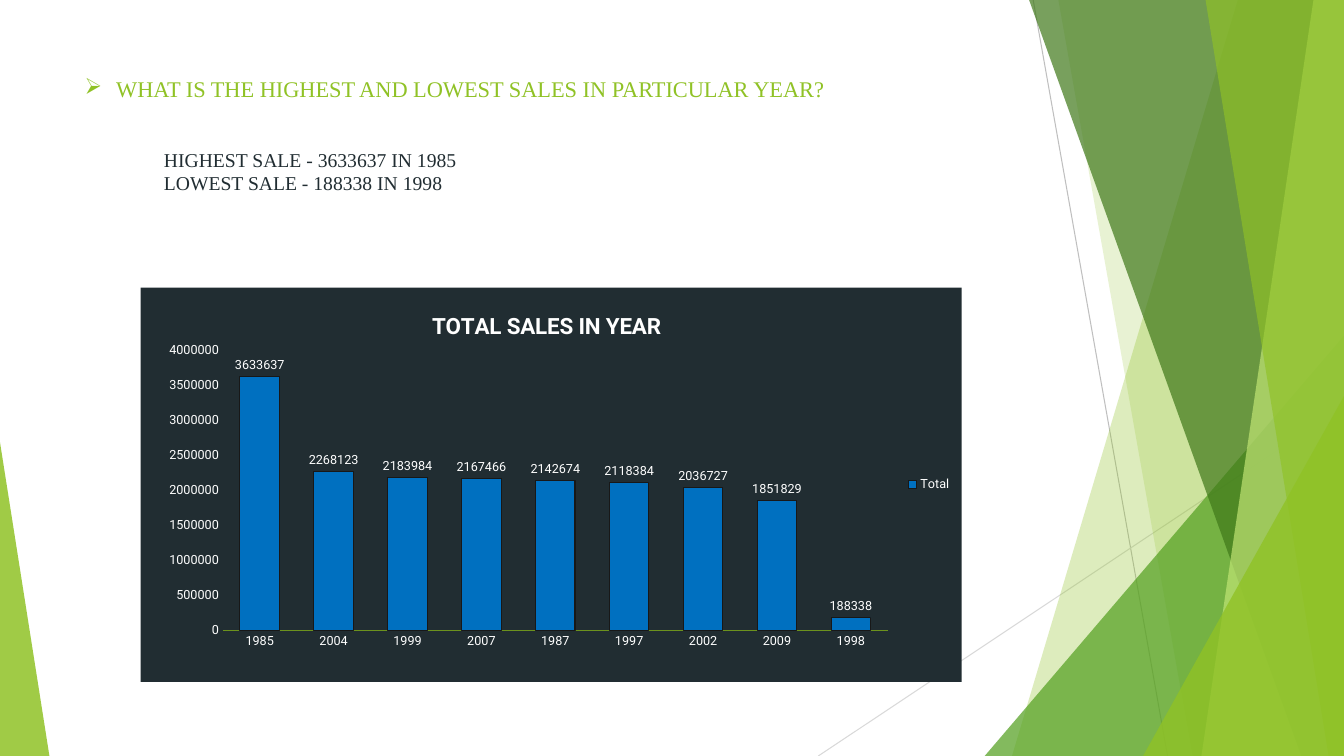
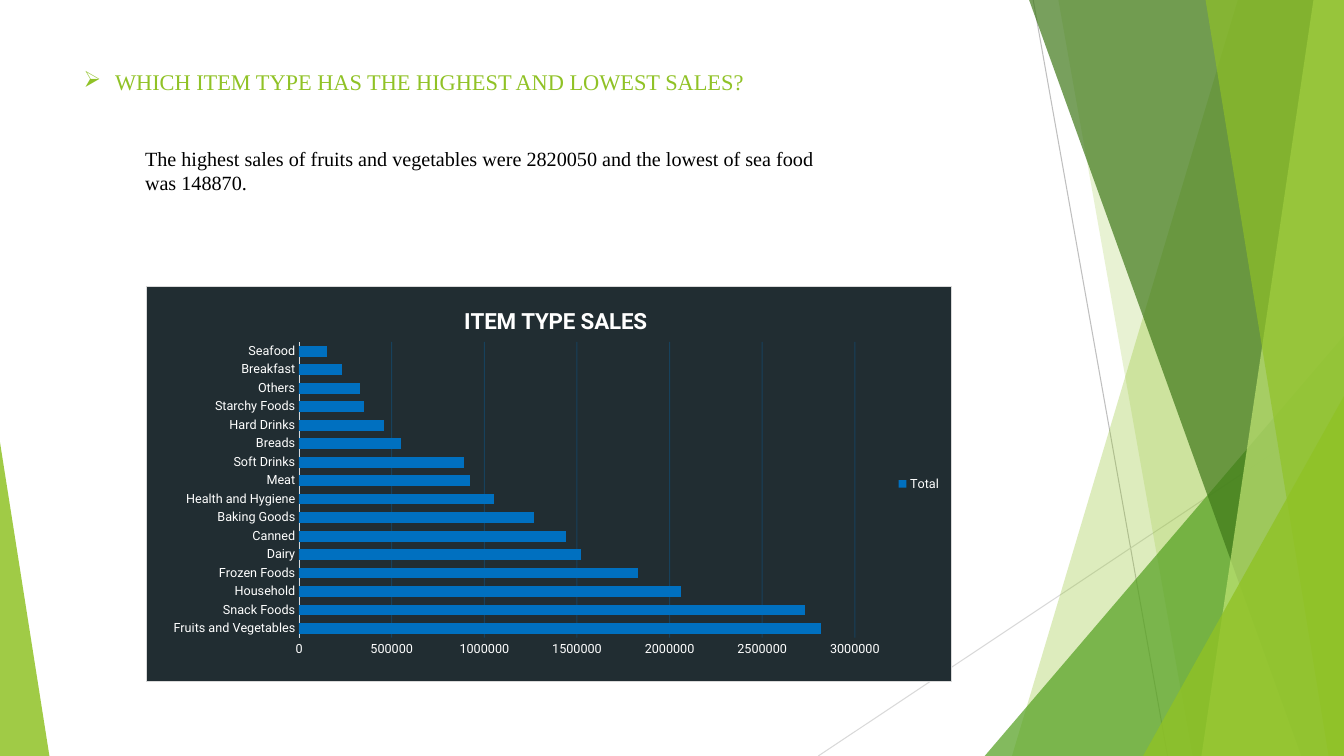
import lxml.etree
import pptx
import pptx.chart.data
import pptx.dml.color
import pptx.enum.chart
import pptx.enum.shapes
import pptx.enum.text
import pptx.oxml
import pptx.oxml.ns
import pptx.util

Pt = pptx.util.Pt
RGBColor = pptx.dml.color.RGBColor
qn = pptx.oxml.ns.qn

LIME = RGBColor(0x90, 0xC2, 0x26)
PALE_LIME = RGBColor(0xC0, 0xE4, 0x74)
GREEN = RGBColor(0x54, 0xA0, 0x21)
FOREST = RGBColor(0x3F, 0x78, 0x19)
OLIVE = RGBColor(0x6C, 0x92, 0x1D)
SLATE = RGBColor(0x21, 0x2D, 0x32)
BLUE = RGBColor(0x00, 0x70, 0xC0)
BLACK = RGBColor(0x00, 0x00, 0x00)
WHITE = RGBColor(0xFF, 0xFF, 0xFF)
INK = RGBColor(0x18, 0x18, 0x18)
GREY = RGBColor(0xBF, 0xBF, 0xBF)
LIGHT_GREY = RGBColor(0xD9, 0xD9, 0xD9)

SERIF = "Times New Roman"
SANS = "Roboto"
WIDTH, HEIGHT = 960, 540
HAIRLINE = 0.75

# Backdrop: hairlines as x1, y1, x2, y2
HAIRLINES = [((738, 0, 834, HEIGHT), GREY), ((WIDTH, 290, 584.5, HEIGHT), LIGHT_GREY)]
# Bands run from an edge (top x, bottom x) to the right side of the slide;
# corners are triangles (left, top, width, apex) standing on the bottom.
BACKDROP = [
    ("band", (884.2, 722.9), LIME, 30),
    ("band", (756, 851.8), LIME, 20),
    ("corner", (703.4, 239.8, 256.6, 1), GREEN, 72),
    ("band", (735.1, 929.5), FOREST, 70),
    ("band", (938.2, 858.2), PALE_LIME, 70),
    ("band", (861.1, 949), LIME, 65),
    ("corner", (816.5, 283, 143.5, 1), LIME, 80),
    ("corner", (0, 316, 35.3, 0), LIME, 85),
]


def points(*lengths):
    return [Pt(length) for length in lengths]


def set_opacity(element, percent):
    colour = element.find(".//" + qn("a:srgbClr"))
    lxml.etree.SubElement(colour, qn("a:alpha")).set("val", str(percent * 1000))


def set_font(font, size, colour, name=SANS, bold=False):
    font.size, font.name, font.bold = Pt(size), name, bold
    font.color.rgb = colour


def manual_layout(parent, index, fractions, inner=False):
    """Place a chart part by fractions of the chart: x, y and perhaps w, h."""
    for existing in parent.findall(qn("c:layout")):
        parent.remove(existing)
    layout = lxml.etree.Element(qn("c:layout"))
    manual = lxml.etree.SubElement(layout, qn("c:manualLayout"))
    settings = [("layoutTarget", "inner")] if inner else []
    settings += [("xMode", "edge"), ("yMode", "edge")]
    settings += zip("xywh", fractions)
    for tag, value in settings:
        lxml.etree.SubElement(manual, qn("c:" + tag)).set("val", str(value))
    parent.insert(index, layout)


class SalesDeck:
    def __init__(self):
        self.deck = pptx.Presentation()
        self.deck.slide_width, self.deck.slide_height = points(WIDTH, HEIGHT)
        self.slide = None

    def new_slide(self):
        self.slide = self.deck.slides.add_slide(self.deck.slide_layouts[5])
        self.backdrop()

    def backdrop(self):
        for ends, colour in HAIRLINES:
            self.hairline(ends, colour)
        for kind, geometry, colour, opacity in BACKDROP:
            facet = self.band(*geometry) if kind == "band" else self.corner(*geometry)
            facet.shadow.inherit = False
            facet.line.fill.background()
            facet.fill.solid()
            facet.fill.fore_color.rgb = colour
            set_opacity(facet.element.spPr, opacity)

    def hairline(self, ends, colour):
        hairline = self.slide.shapes.add_connector(
            pptx.enum.shapes.MSO_CONNECTOR.STRAIGHT, *points(*ends))
        hairline.line.color.rgb = colour
        hairline.line.width = Pt(HAIRLINE)
        lxml.etree.SubElement(hairline.element.spPr, qn("a:effectLst"))

    def band(self, top_x, bottom_x):
        outline = self.slide.shapes.build_freeform(Pt(top_x), 0)
        corners = [(WIDTH, 0), (WIDTH, HEIGHT), (bottom_x, HEIGHT)]
        outline.add_line_segments([points(*corner) for corner in corners])
        return outline.convert_to_shape()

    def corner(self, left, top, width, apex):
        corner = self.slide.shapes.add_shape(
            pptx.enum.shapes.MSO_SHAPE.ISOSCELES_TRIANGLE,
            *points(left, top, width, HEIGHT - top))
        corner.adjustments[0] = apex
        return corner

    def set_text(self, holder, lines, size, colour, anchor):
        frame = holder.text_frame
        frame.word_wrap = True
        frame.auto_size = pptx.enum.text.MSO_AUTO_SIZE.NONE
        frame.vertical_anchor = anchor
        for number, line in enumerate(lines):
            paragraph = frame.add_paragraph() if number else frame.paragraphs[0]
            paragraph.alignment = pptx.enum.text.PP_ALIGN.LEFT
            run = paragraph.add_run()
            run.text = line
            set_font(run.font, size, colour, SERIF)

    def question(self, text, left, top, width, height):
        title = self.slide.shapes.title
        title.left, title.top, title.width, title.height = points(left, top, width, height)
        self.set_text(title, [text], 16, LIME, pptx.enum.text.MSO_ANCHOR.MIDDLE)
        bulleted = title.text_frame.paragraphs[0]._p.get_or_add_pPr()
        bulleted.set("marL", str(Pt(22.5)))
        bulleted.set("indent", str(-Pt(22.5)))
        lxml.etree.SubElement(bulleted, qn("a:buChar")).set("char", "➢")

    def answer(self, lines, box, size, colour):
        answer = self.slide.shapes.add_textbox(*points(*box))
        self.set_text(answer, lines, size, colour, pptx.enum.text.MSO_ANCHOR.TOP)

    def sales_chart(self, kind, heading, heading_at, sales, box, plot_at, gap, top_value,
                    axis_colour):
        data = pptx.chart.data.CategoryChartData(number_format="General")
        data.categories = list(sales)
        data.add_series("Total", list(sales.values()))
        chart = self.slide.shapes.add_chart(kind, *points(*box), data).chart
        set_font(chart.font, 10, WHITE)

        # Heading and legend
        chart.has_title = True
        title_run = chart.chart_title.text_frame.paragraphs[0].add_run()
        title_run.text = heading
        set_font(title_run.font, 16, WHITE, bold=True)
        manual_layout(chart.element.find(".//" + qn("c:title")), 1, heading_at)
        chart.has_legend = True
        chart.legend.position = pptx.enum.chart.XL_LEGEND_POSITION.RIGHT
        chart.legend.include_in_layout = False
        set_font(chart.legend.font, 9, WHITE)

        # Axes
        for axis in (chart.category_axis, chart.value_axis):
            axis.major_tick_mark = pptx.enum.chart.XL_TICK_MARK.NONE
            axis.has_major_gridlines = False
            set_font(axis.tick_labels.font, 9, WHITE)
        chart.category_axis.format.line.color.rgb = axis_colour
        chart.category_axis.format.line.width = Pt(HAIRLINE)
        chart.value_axis.format.line.fill.background()
        chart.value_axis.minimum_scale = 0
        chart.value_axis.maximum_scale = top_value
        chart.value_axis.major_unit = 500000

        # Bars and plot area
        plot = chart.plots[0]
        plot.vary_by_categories = False
        plot.gap_width = gap
        bars = plot.series[0]
        bars.invert_if_negative = False
        bars.format.fill.solid()
        bars.format.fill.fore_color.rgb = BLUE
        manual_layout(chart.element.find(".//" + qn("c:plotArea")), 0, plot_at, inner=True)
        return chart

    def chart_panel(self, chart, border=None):
        edge = f'<a:solidFill><a:srgbClr val="{border}"/></a:solidFill>' if border else "<a:noFill/>"
        panel = pptx.oxml.parse_xml(
            f'<c:spPr {pptx.oxml.ns.nsdecls("c", "a")}>'
            f'<a:solidFill><a:srgbClr val="{SLATE}"/></a:solidFill>'
            f'<a:ln w="{int(Pt(HAIRLINE))}">{edge}</a:ln></c:spPr>')
        chart.element.find(qn("c:chart")).addnext(panel)

    def bar_labels(self, chart):
        labels = chart.plots[0].series[0].data_labels
        labels.show_value = True
        labels.position = pptx.enum.chart.XL_LABEL_POSITION.OUTSIDE_END
        set_font(labels.font, 9, WHITE)

    def faint_gridlines(self, chart):
        chart.value_axis.has_major_gridlines = True
        gridline = chart.value_axis.major_gridlines.format.line
        gridline.color.rgb = BLUE
        gridline.width = Pt(HAIRLINE)
        set_opacity(chart.element.find(".//" + qn("c:majorGridlines")), 29)


def yearly_sales(deck):
    deck.new_slide()
    deck.question("WHAT IS THE HIGHEST AND LOWEST SALES IN PARTICULAR YEAR?",
                  53.3, 48, 692, 31)
    sales = {"1985": 3633637, "2004": 2268123, "1999": 2183984, "2007": 2167466,
             "1987": 2142674, "1997": 2118384, "2002": 2036727, "2009": 1851829,
             "1998": 188338}
    chart = deck.sales_chart(
        pptx.enum.chart.XL_CHART_TYPE.COLUMN_CLUSTERED, "TOTAL SALES IN YEAR", (0.35, 0.05),
        sales, (100.5, 205.5, 586.5, 281.5), (0.1, 0.16, 0.81, 0.71), 87, 4000000, OLIVE)
    deck.chart_panel(chart)
    deck.bar_labels(chart)
    chart.plots[0].overlap = -27
    outline = chart.plots[0].series[0].format.line
    outline.color.rgb = INK
    outline.width = Pt(HAIRLINE)
    deck.answer(["HIGHEST SALE - 3633637 IN 1985", "LOWEST SALE - 188338 IN 1998"],
                (110, 102, 335, 41), 14, SLATE)


def item_type_sales(deck):
    deck.new_slide()
    deck.question("WHICH ITEM TYPE HAS THE HIGHEST AND LOWEST SALES?", 52.5, 44, 616, 29)
    deck.answer(["The highest sales of fruits and vegetables were 2820050 "
                 "and the lowest of sea food was 148870."],
                (96.5, 101, 497.5, 60), 14.4, BLACK)
    sales = {"Fruits and Vegetables": 2820000, "Snack Foods": 2730000,
             "Household": 2060000, "Frozen Foods": 1830000, "Dairy": 1520000,
             "Canned": 1440000, "Baking Goods": 1270000,
             "Health and Hygiene": 1050000, "Meat": 920000, "Soft Drinks": 890000,
             "Breads": 550000, "Hard Drinks": 460000, "Starchy Foods": 350000,
             "Others": 330000, "Breakfast": 230000, "Seafood": 150000}
    chart = deck.sales_chart(
        pptx.enum.chart.XL_CHART_TYPE.BAR_CLUSTERED, "ITEM TYPE SALES", (0.39, 0.04),
        sales, (104, 204.5, 576, 282.5), (0.19, 0.14, 0.69, 0.75), 70, 3000000, LIGHT_GREY)
    deck.chart_panel(chart, LIGHT_GREY)
    deck.faint_gridlines(chart)


def main():
    deck = SalesDeck()
    yearly_sales(deck)
    item_type_sales(deck)
    deck.deck.save("out.pptx")


if __name__ == "__main__":
    main()
